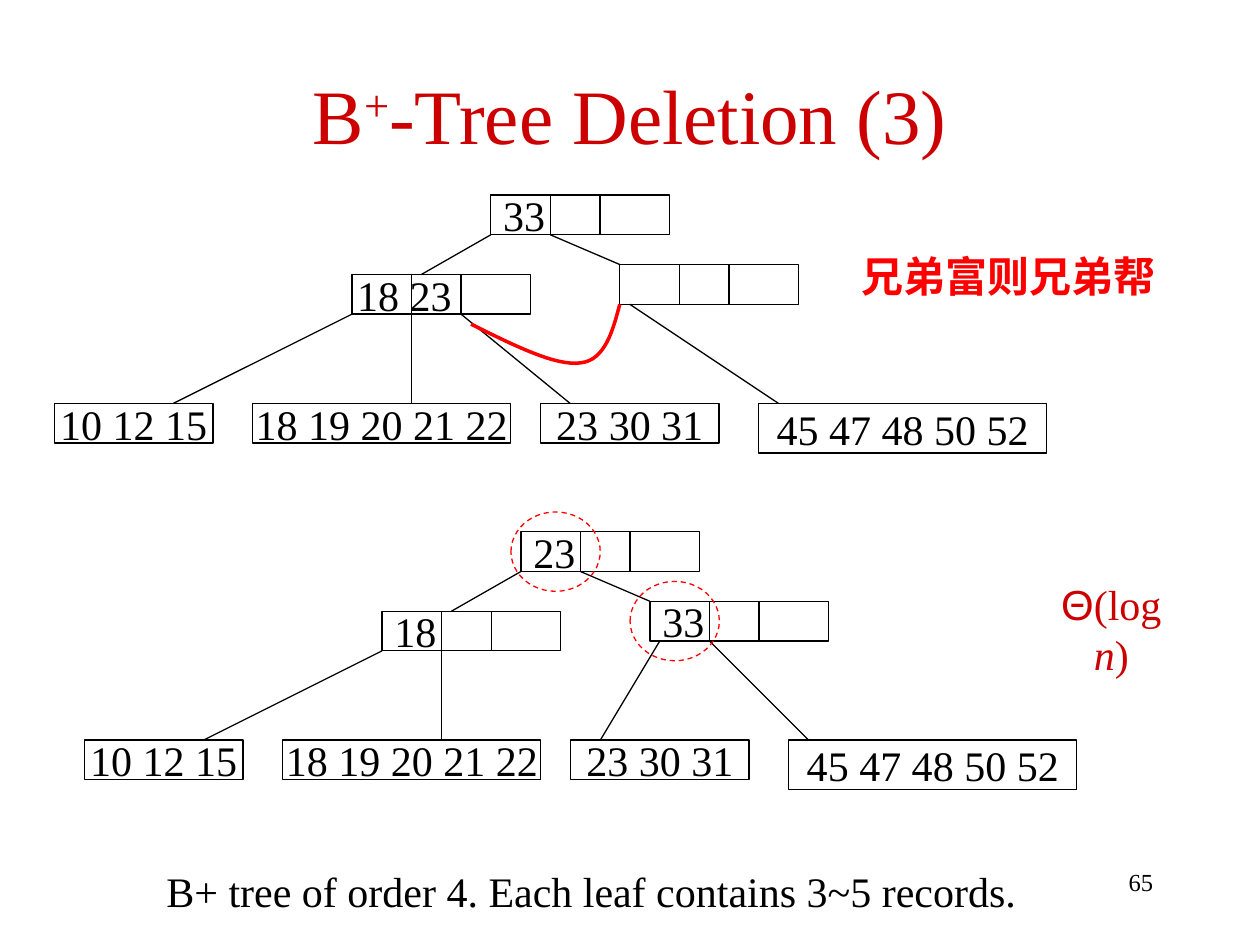
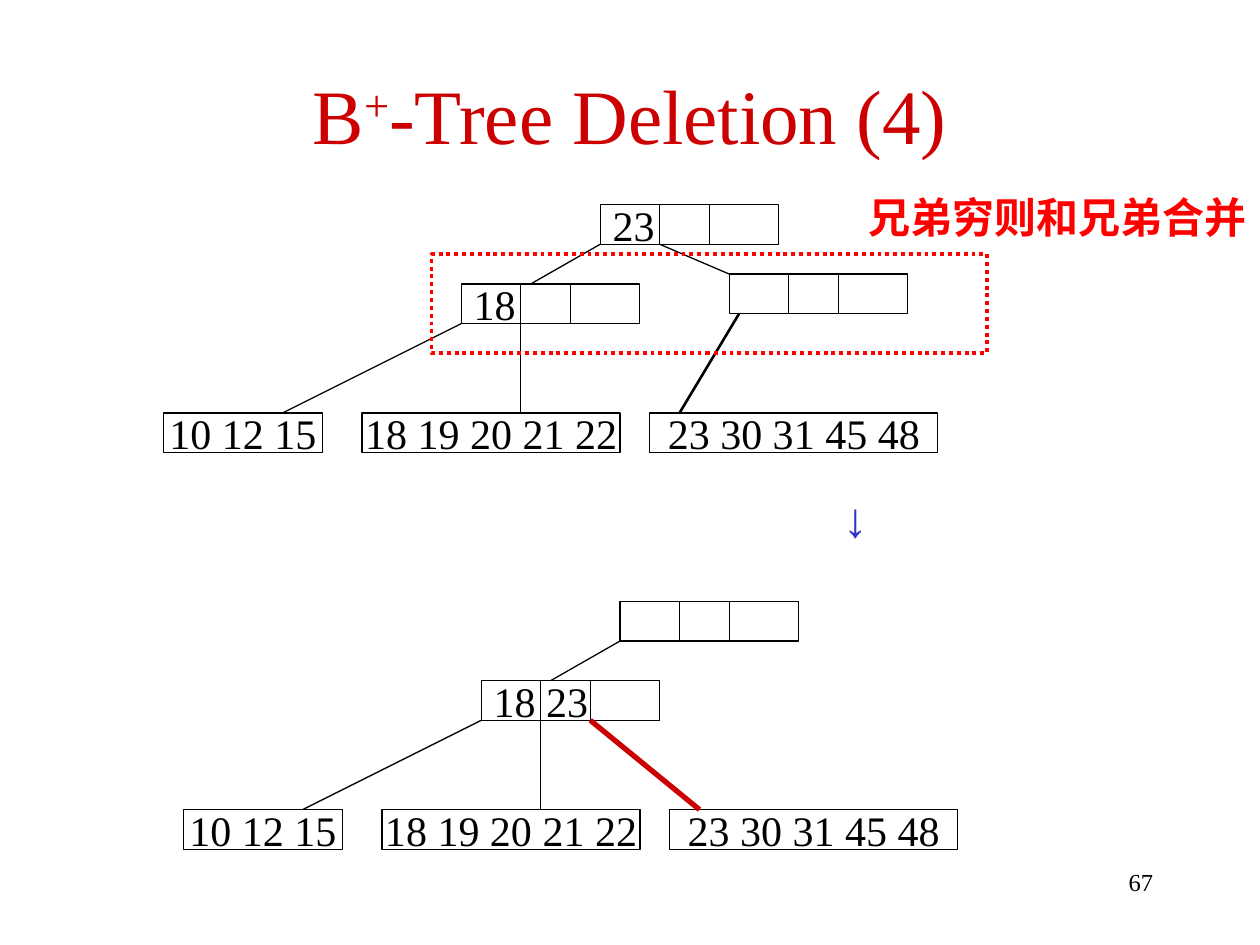
from lxml.etree import SubElement
from pptx import Presentation
from pptx.dml.color import RGBColor as Rgb
from pptx.enum.dml import MSO_LINE as Dash
from pptx.enum.shapes import MSO_CONNECTOR as Link, MSO_SHAPE as Preset
from pptx.enum.text import MSO_ANCHOR as Anchor, PP_ALIGN as Align
from pptx.oxml.ns import qn
from pptx.util import Pt

COLORS = {"ink": "000000", "title": "CC0000", "mark": "FF0000", "arrow": "3333CC"}
SERIF = "Times New Roman"
GRID = 5.67  # tree grid step in points

# Tree parts in grid steps from the tree's top left corner
ROOT, LEFT, RIGHT = (44, 0), (30, 8), (57, 7)
NODE_SIZE, KEY_SPLITS = (18, 4), (6, 11)
LEAF_TOP = 21
LEAF_10, LEAF_18 = (0, 16, 4, "10 12 15"), (20, 26, 4, "18 19 20 21 22")
LEAF_23 = (49, 18, 4, "23 30 31")
LEAF_45 = (71, 29, 5, "45 47 48 50 52")
LEAF_MERGED = (49, 29, 4, "23 30 31 45 48")
LEFT_EDGES = [(44, 4, 37, 8), (30, 12, 12, 21), (36, 12, 36, 21)]
RIGHT_EDGE = (50, 4, 57, 7)
THIRD_EDGE = (41, 12, 52, 21)
RIGHT_TO_23 = (58, 11, 52, 21)


def color(name):
    return Rgb.from_string(COLORS[name])


def apply(target, values):
    for key, value in values.items():
        setattr(target, key, value)


def write(frame, runs, ink="ink", size=24, align=Align.CENTER, **layout):
    """Fill a text frame with (text, font values, baseline) runs."""
    apply(frame, {"word_wrap": False, **layout})
    line = frame.paragraphs[0]
    line.alignment = align
    for text, values, baseline in runs:
        run = line.add_run()
        run.text = text
        apply(run.font, {"name": SERIF, "size": Pt(size), **values})
        run.font.color.rgb = color(ink)
        if baseline:
            run.font._element.set("baseline", str(baseline))


def add_text(slide, box, runs, **options):
    label = slide.shapes.add_textbox(*map(Pt, box))
    write(label.text_frame, runs, **options)


def outline(shape, ink="ink", width=0.75, dash=None):
    shape.shadow.inherit = False
    shape.fill.background()
    shape.line.color.rgb = color(ink)
    apply(shape.line, {"width": Pt(width), "dash_style": dash})


class Tree:
    """A B+ tree drawn on a grid that starts at the given corner."""

    def __init__(self, slide, left, top):
        self.slide, self.left, self.top = slide, left, top

    def at(self, x, y):
        return Pt(self.left + x * GRID), Pt(self.top + y * GRID)

    def frame(self, x, y, across, down, preset=Preset.RECTANGLE, **line):
        shape = self.slide.shapes.add_shape(
            preset, *self.at(x, y), Pt(across * GRID), Pt(down * GRID))
        outline(shape, **line)
        return shape

    def edge(self, x1, y1, x2, y2, ink="ink", width=0.75):
        edge = self.slide.shapes.add_connector(
            Link.STRAIGHT, *self.at(x1, y1), *self.at(x2, y2))
        edge.line.color.rgb = color(ink)
        edge.line.width = Pt(width)
        SubElement(edge._element.spPr, qn("a:effectLst"))

    def node(self, place, keys="", inset=7.2):
        x, y = place
        across, down = NODE_SIZE
        node = self.frame(x, y, across, down)
        if keys:
            write(node.text_frame, [(keys, {}, 0)], align=Align.LEFT,
                  vertical_anchor=Anchor.MIDDLE, margin_left=Pt(inset))
        for split in KEY_SPLITS:
            self.edge(x + split, y, x + split, y + down)

    def leaves(self, *leaves):
        for x, across, down, records in leaves:
            leaf = self.frame(x, LEAF_TOP, across, down)
            write(leaf.text_frame, [(records, {}, 0)], vertical_anchor=Anchor.MIDDLE)

    def edges(self, *edges):
        for edge in edges:
            self.edge(*edge)

    def curve(self, start, *segments, steps=16):
        """Draw a chain of cubic curves in the marking colour."""
        points, last = [], start
        for segment in segments:
            knots = (last, *segment)
            for step in range(1, steps + 1):
                t = step / steps
                weights = ((1 - t) ** 3, 3 * t * (1 - t) ** 2, 3 * t * t * (1 - t), t ** 3)
                points.append(self.at(*(sum(w * k[axis] for w, k in zip(weights, knots))
                                        for axis in (0, 1))))
            last = segment[-1]
        builder = self.slide.shapes.build_freeform(*self.at(*start))
        builder.add_line_segments(points, close=False)
        outline(builder.convert_to_shape(), "mark", 2)


def new_slide(deck, part, number):
    slide = deck.slides.add_slide(deck.slide_layouts[6])
    # Title
    add_text(slide, (36, 28.8, 648, 72),
             [("B", {}, 0), ("+", {}, 30000), (f"-Tree Deletion ({part})", {}, 0)],
             ink="title", size=44, vertical_anchor=Anchor.MIDDLE, word_wrap=True)
    # Page number
    add_text(slide, (516.2, 491.8, 149.8, 36), [(str(number), {}, 0)],
             size=14, align=Align.RIGHT, word_wrap=True)
    return slide


def rule_note(slide, box, rule):
    add_text(slide, box, [(rule, {"bold": True}, 0)], ink="mark")


def borrowing_slide(deck):
    slide = new_slide(deck, 3, 65)
    add_text(slide, (84.8, 491, 506.2, 36),
             [("B+ tree of order 4. Each leaf contains 3~5 records.", {}, 0)])

    # Tree with an empty right node
    before = Tree(slide, 31, 111.5)
    before.leaves(LEAF_10, LEAF_18, LEAF_23, LEAF_45)
    before.node(ROOT, "33")
    before.node(LEFT, "18 23", inset=3)
    before.node(RIGHT)
    before.edges(*LEFT_EDGES, RIGHT_EDGE, THIRD_EDGE, (58, 11, 73, 21))
    rule_note(slide, (485.3, 139.7, 182.2, 36), "兄弟富则兄弟帮")
    before.curve((42, 13), ((46.25, 15.1), (50.6, 17.3), (53.1, 16.9)),
                 ((55.5, 16.6), (56.3, 13.7), (57, 11)))

    # Tree after borrowing from the sibling
    after = Tree(slide, 48.2, 303.9)
    after.leaves(LEAF_10, LEAF_18, LEAF_23, LEAF_45)
    for place, key in ((ROOT, "23"), (LEFT, "18"), (RIGHT, "33")):
        after.node(place, key)
    after.edges(*LEFT_EDGES, RIGHT_EDGE, RIGHT_TO_23, (63, 11, 73, 21))
    for x, y in ((55, 5), (43, -2)):
        after.frame(x, y, 9, 8, Preset.OVAL, ink="mark", dash=Dash.DASH)

    # Cost
    add_text(slide, (586.8, 326.9, 96.5, 36),
             [("Θ", {"name": "Arial"}, 0), ("(log ", {}, 0), ("n", {"italic": True}, 0),
              (")", {}, 0)], ink="title", word_wrap=True)


def merging_slide(deck):
    slide = new_slide(deck, 4, 67)
    add_text(slide, (393.8, 275.8, 190, 41), [("↓", {"bold": True}, 0)],
             ink="arrow", size=28, word_wrap=True)

    # Tree with two poor siblings
    before = Tree(slide, 93.5, 116.9)
    before.leaves(LEAF_10, LEAF_18, LEAF_MERGED)
    before.node(ROOT, "23")
    before.node(LEFT, "18")
    before.node(RIGHT)
    before.edges(*LEFT_EDGES, RIGHT_EDGE, (*RIGHT_TO_23, "ink", 1.5))
    rule_note(slide, (488.9, 105.8, 230.4, 36), "兄弟穷则和兄弟合并")
    before.frame(27, 5, 56, 10, ink="mark", width=2.25, dash=Dash.ROUND_DOT)

    # Tree after merging the siblings
    after = Tree(slide, 104.9, 343.6)
    after.leaves(LEAF_10, LEAF_18, LEAF_MERGED)
    after.node(ROOT)
    after.node(LEFT, "18 23")
    after.edges(*LEFT_EDGES, (*THIRD_EDGE, "title", 3))


def main():
    deck = Presentation()
    deck.slide_width, deck.slide_height = Pt(720), Pt(540)
    borrowing_slide(deck)
    merging_slide(deck)
    deck.save("out.pptx")


if __name__ == "__main__":
    main()
